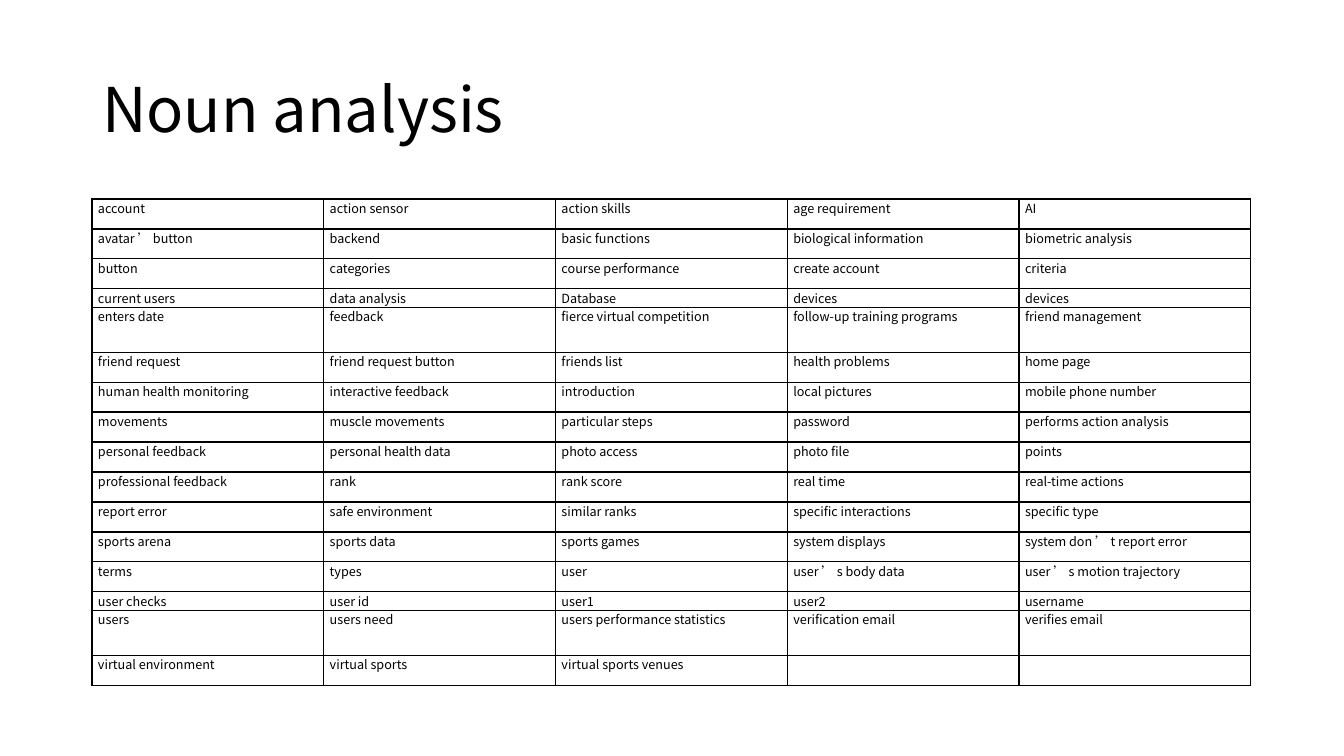
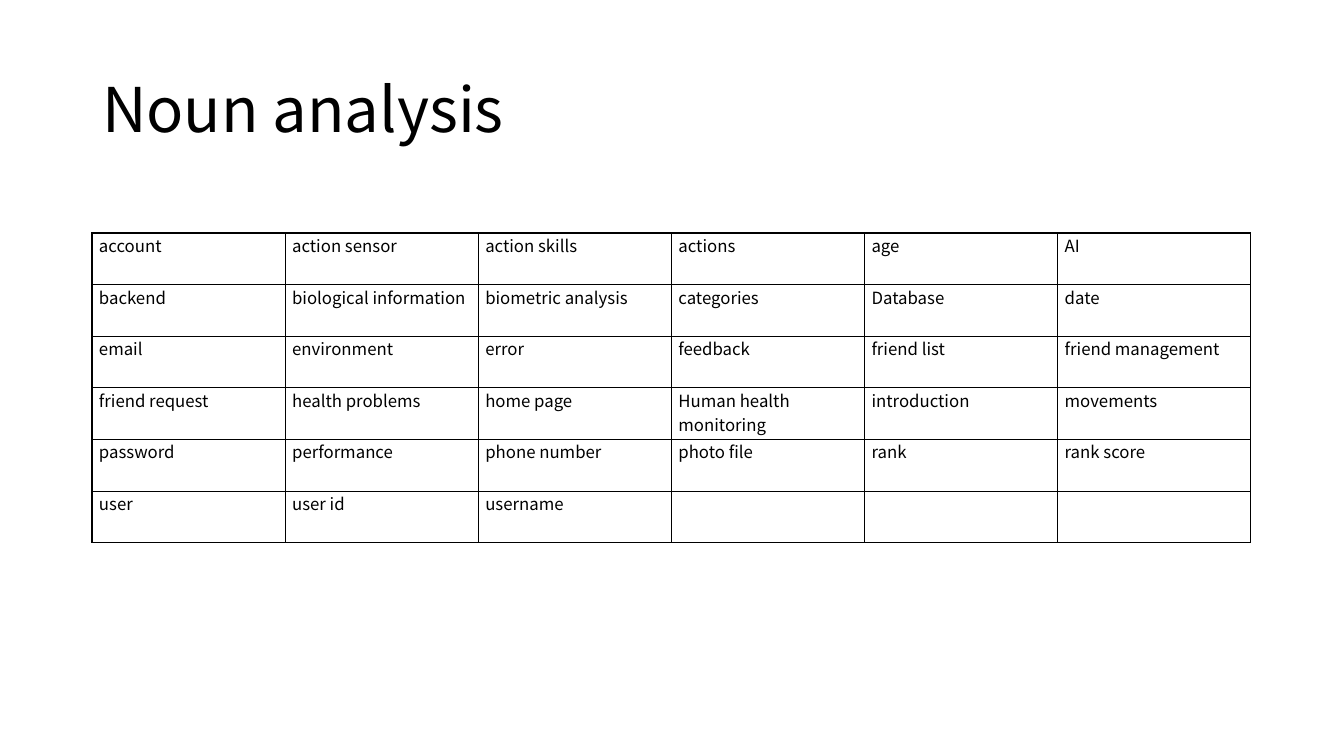
"""Build two noun analysis slides, each with a title and a word grid."""
from dataclasses import dataclass
from typing import Any

from lxml.etree import SubElement
from pptx import Presentation
from pptx.dml.color import RGBColor
from pptx.enum.text import MSO_ANCHOR as Anchor, MSO_AUTO_SIZE as AutoSize, PP_ALIGN as Align
from pptx.oxml import parse_xml
from pptx.oxml.ns import nsdecls, qn
from pptx.util import Emu, Pt

EMU_PER_PIXEL = 914400 / 100.8
COLORS = {"ink": "000000", "rule": "000000"}
FONT = "Noto Sans CJK SC"
HEADING = "Noun analysis"
LEFT, WIDTH = 92, 1159
HEADING_TOP, HEADING_HEIGHT = 40, 146
TITLE_ONLY = 5


@dataclass(frozen=True)
class NounGrid:
    """A word grid whose rows share its height by weight."""
    top: int
    height: int
    columns: int
    row_weights: tuple[int, ...]
    inset: int
    size: int
    align: Align
    rows: tuple[str, ...]


ALL_NOUNS = NounGrid(
    top=199, height=480, columns=5,
    row_weights=(2, 2, 2, 1, 3, 2, 2, 2, 2, 2, 2, 2, 2, 1, 3, 2),
    inset=6, size=9, align=Align.JUSTIFY,
    rows=(
        "account, action sensor, action skills, age requirement, AI",
        "avatar ’ button, backend, basic functions, biological information, biometric analysis",
        "button, categories, course performance, create account, criteria",
        "current users, data analysis, Database, devices, devices",
        "enters date, feedback, fierce virtual competition, follow-up training programs, "
        "friend management",
        "friend request, friend request button, friends list, health problems, home page",
        "human health monitoring, interactive feedback, introduction, local pictures, "
        "mobile phone number",
        "movements, muscle movements, particular steps, password, performs action analysis",
        "personal feedback, personal health data, photo access, photo file, points",
        "professional feedback, rank, rank score, real time, real-time actions",
        "report error, safe environment, similar ranks, specific interactions, specific type",
        "sports arena, sports data, sports games, system displays, system don ’ t report error",
        "terms, types, user, user ’ s body data, user ’ s motion trajectory",
        "user checks, user id, user1, user2, username",
        "users, users need, users performance statistics, verification email, verifies email",
        "virtual environment, virtual sports, virtual sports venues",
    ),
)
KEY_NOUNS = NounGrid(
    top=233, height=310, columns=6, row_weights=(1,) * 6,
    inset=7, size=12, align=Align.LEFT,
    rows=(
        "account, action sensor, action skills, actions, age, AI",
        "backend, biological information, biometric analysis, categories, Database, date",
        "email, environment, error, feedback, friend list, friend management",
        "friend request, health problems, home page, Human health monitoring, introduction, "
        "movements",
        "password, performance, phone number, photo file, rank, rank score",
        "user, user id, username",
    ),
)


def px(pixels: float) -> Emu:
    """Turn pixels into EMU."""
    return Emu(round(pixels * EMU_PER_PIXEL))


def apply_format(target: Any, values: dict[str, Any]) -> None:
    """Set each named attribute on the target."""
    for name, value in values.items():
        setattr(target, name, value)


def write_text(paragraph: Any, text: str, size: int) -> None:
    """Add one run in the shared font and ink."""
    run = paragraph.add_run()
    run.text = text
    apply_format(run.font, {"name": FONT, "size": Pt(size), "bold": False})
    run.font.color.rgb = RGBColor.from_string(COLORS["ink"])
    SubElement(run.font._element, qn("a:ea"), typeface=FONT)


def add_heading(slide: Any) -> None:
    """Place and fill the title placeholder."""
    heading = slide.shapes.title
    apply_format(heading, {"left": px(LEFT), "top": px(HEADING_TOP),
                           "width": px(WIDTH), "height": px(HEADING_HEIGHT)})
    apply_format(heading.text_frame, {"vertical_anchor": Anchor.MIDDLE, "word_wrap": True,
                                      "auto_size": AutoSize.NONE})
    paragraph = heading.text_frame.paragraphs[0]
    apply_format(paragraph, {"alignment": Align.LEFT, "line_spacing": 0.9})
    write_text(paragraph, HEADING, 44)


def rule_cell(cell: Any) -> None:
    """Draw a one point rule on all four sides of a cell."""
    properties = cell._tc.get_or_add_tcPr()
    for index, side in enumerate(("lnL", "lnR", "lnT", "lnB")):
        properties.insert(index, parse_xml(
            f'<a:{side} {nsdecls("a")} w="{Pt(1)}"><a:solidFill>'
            f'<a:srgbClr val="{COLORS["rule"]}"/></a:solidFill></a:{side}>'))


def fill_cell(cell: Any, noun: str, grid: NounGrid) -> None:
    """Format a cell and write its noun, if any."""
    apply_format(cell, {"margin_left": px(grid.inset), "margin_right": px(grid.inset),
                        "margin_top": 0, "margin_bottom": 0, "vertical_anchor": Anchor.TOP})
    cell.fill.background()
    rule_cell(cell)
    paragraph = cell.text_frame.paragraphs[0]
    paragraph.alignment = grid.align
    if noun:
        write_text(paragraph, noun, grid.size)
    else:
        SubElement(paragraph._p, qn("a:endParaRPr"), sz=str(grid.size * 100))


def add_grid(slide: Any, grid: NounGrid) -> None:
    """Draw the word grid as a table."""
    table = slide.shapes.add_table(len(grid.rows), grid.columns, px(LEFT), px(grid.top),
                                   px(WIDTH), px(grid.height)).table
    apply_format(table, {"first_row": False, "horz_banding": False})
    for column in table.columns:
        column.width = px(WIDTH / grid.columns)
    unit = grid.height / sum(grid.row_weights)
    for row, weight, line in zip(table.rows, grid.row_weights, grid.rows):
        row.height = px(weight * unit)
        nouns = line.split(", ")
        nouns += [""] * (grid.columns - len(nouns))
        for cell, noun in zip(row.cells, nouns):
            fill_cell(cell, noun, grid)


def main() -> None:
    """Build and save the deck."""
    deck = Presentation()
    apply_format(deck, {"slide_width": px(1344), "slide_height": px(756)})
    for grid in (ALL_NOUNS, KEY_NOUNS):
        slide = deck.slides.add_slide(deck.slide_layouts[TITLE_ONLY])
        add_heading(slide)
        add_grid(slide, grid)
    deck.save("out.pptx")


main()
